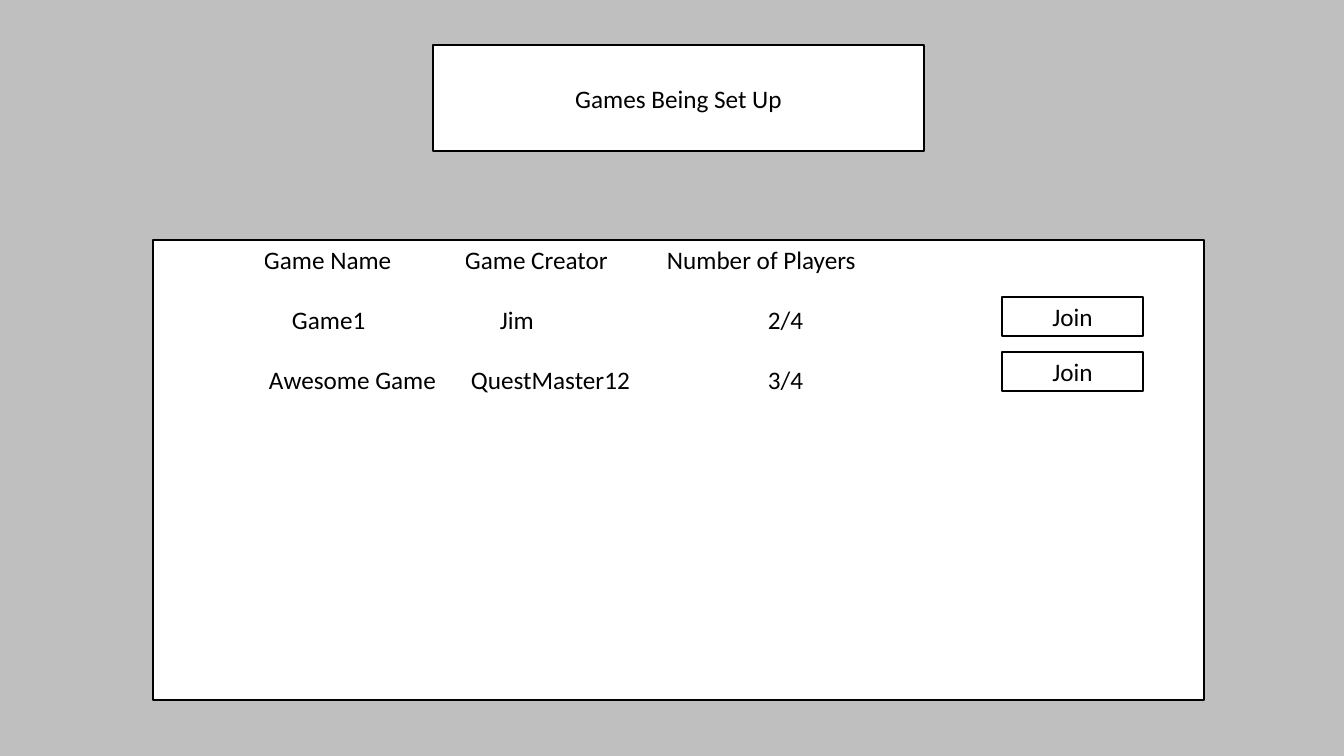
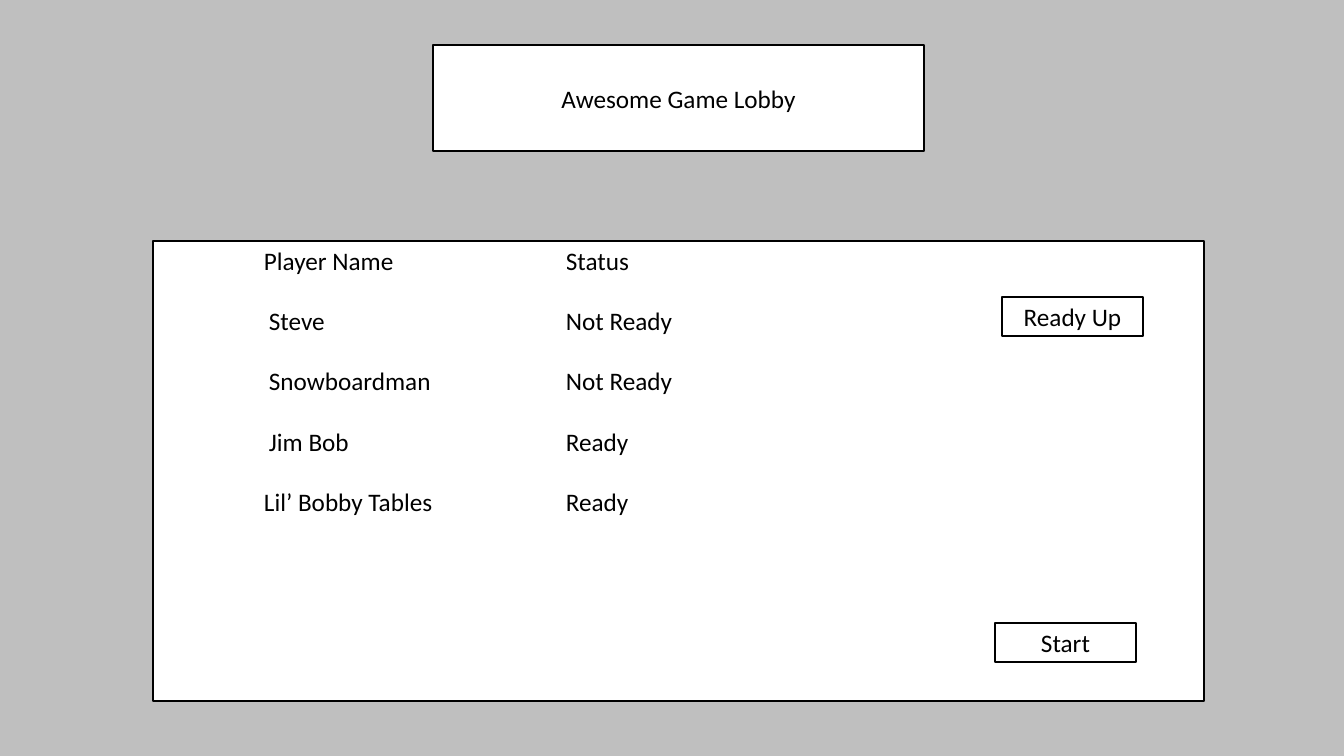
from dataclasses import dataclass

from pptx import Presentation
from pptx.dml.color import RGBColor
from pptx.enum.shapes import MSO_SHAPE
from pptx.enum.text import MSO_ANCHOR, PP_ALIGN
from pptx.util import Pt

EMU_PER_INCH = 914400
PX_PER_INCH = 100.8


def px(length):
    return round(length * EMU_PER_INCH / PX_PER_INCH)


@dataclass(frozen=True)
class Theme:
    backdrop: RGBColor = RGBColor(0xBF, 0xBF, 0xBF)
    surface: RGBColor = RGBColor(0xFF, 0xFF, 0xFF)
    ink: RGBColor = RGBColor(0, 0, 0)
    font: str = "Calibri"
    text_size: int = 18
    line_width: int = 1


@dataclass(frozen=True)
class Box:
    left: int
    top: int
    width: int
    height: int

    def inside(self, left, top, width, height):
        """Box placed relative to this one."""
        return Box(self.left + left, self.top + top, width, height)

    def emu(self):
        return [px(length) for length in (self.left, self.top, self.width, self.height)]


THEME = Theme()
SLIDE_SIZE = (1344, 756)
TITLE_BOX = Box(433, 45, 491, 106)
PANEL_SIZE = (1051, 460)
BUTTON_SIZE = (141, 39)
TABLE_OFFSET = (111, 5)
ROW_HEIGHT = px(121) // 2  # two rows span 121 px

# Each row holds (text, indent in px) cells; each button (label, left, top) in the panel.
SCREENS = [
    {
        "title": "Games Being Set Up",
        "panel_top": 240,
        "columns": [201, 202, 240],
        "rows": [
            [("Game Name", 0), ("Game Creator", 0), ("Number of Players", 0)],
            [("Game1", 28), ("Jim", 35), ("2/4", 101)],
            [("Awesome Game", 5), ("QuestMaster12", 6), ("3/4", 101)],
        ],
        "buttons": [("Join", 849, 57), ("Join", 849, 112)],
    },
    {
        "title": "Awesome Game Lobby",
        "panel_top": 241,
        "columns": [302, 240],
        "rows": [
            [("Player Name", 0), ("Status", 0)],
            [("Steve", 5), ("Not Ready", 0)],
            [("Snowboardman", 5), ("Not Ready", 0)],
            [("Jim Bob", 5), ("Ready", 0)],
            [("Lil’ Bobby Tables", 0), ("Ready", 0)],
        ],
        "buttons": [("Ready Up", 849, 56), ("Start", 842, 382)],
    },
]


def set_attributes(target, values):
    for name, value in values.items():
        setattr(target, name, value)


def write_text(text_frame, text, alignment):
    paragraph = text_frame.paragraphs[0]
    paragraph.alignment = alignment
    run = paragraph.add_run()
    run.text = text
    set_attributes(run.font, {"name": THEME.font, "size": Pt(THEME.text_size), "bold": False})
    run.font.color.rgb = THEME.ink


def outline(shape):
    shape.fill.solid()
    shape.fill.fore_color.rgb = THEME.surface
    shape.line.color.rgb = THEME.ink
    shape.line.width = Pt(THEME.line_width)


def add_box(slide, box):
    shape = slide.shapes.add_shape(MSO_SHAPE.RECTANGLE, *box.emu())
    shape.shadow.inherit = False
    outline(shape)
    return shape


# Title band
def add_title(slide, box, text):
    title = slide.shapes.title
    set_attributes(title, dict(zip(("left", "top", "width", "height"), box.emu())))
    outline(title)
    title.text_frame.vertical_anchor = MSO_ANCHOR.MIDDLE
    write_text(title.text_frame, text, PP_ALIGN.CENTER)


# Button with a centred label
def add_button(slide, box, label):
    button = add_box(slide, box)
    button.text_frame.vertical_anchor = MSO_ANCHOR.MIDDLE
    write_text(button.text_frame, label, PP_ALIGN.CENTER)


# Listing without visible rules
def add_listing(slide, box, columns, rows):
    left, top, width, _ = box.emu()
    frame = slide.shapes.add_table(
        len(rows), len(columns), left, top, width, ROW_HEIGHT * len(rows))
    table = frame.table
    set_attributes(table, {"first_row": False, "horz_banding": False})
    for column, column_width in zip(table.columns, columns):
        column.width = px(column_width)
    for table_row, row in zip(table.rows, rows):
        table_row.height = ROW_HEIGHT
        for cell, (text, indent) in zip(table_row.cells, row):
            cell.fill.solid()
            cell.fill.fore_color.rgb = THEME.surface
            set_attributes(cell, {
                "margin_left": px(indent), "margin_right": 0,
                "margin_top": 0, "margin_bottom": 0,
                "vertical_anchor": MSO_ANCHOR.TOP,
            })
            write_text(cell.text_frame, text, PP_ALIGN.LEFT)


# Panel with its listing and buttons
def add_panel(slide, box, screen):
    add_box(slide, box)
    columns = screen["columns"]
    listing_box = box.inside(*TABLE_OFFSET, sum(columns), box.height - TABLE_OFFSET[1])
    add_listing(slide, listing_box, columns, screen["rows"])
    for label, left, top in screen["buttons"]:
        add_button(slide, box.inside(left, top, *BUTTON_SIZE), label)


def add_screen(presentation, screen):
    slide = presentation.slides.add_slide(presentation.slide_layouts.get_by_name("Title Only"))
    add_title(slide, TITLE_BOX, screen["title"])
    add_panel(slide, Box(153, screen["panel_top"], *PANEL_SIZE), screen)


def main():
    presentation = Presentation()
    presentation.slide_width, presentation.slide_height = map(px, SLIDE_SIZE)
    backdrop = presentation.slide_master.background.fill
    backdrop.solid()
    backdrop.fore_color.rgb = THEME.backdrop
    for screen in SCREENS:
        add_screen(presentation, screen)
    presentation.save("out.pptx")


if __name__ == "__main__":
    main()
